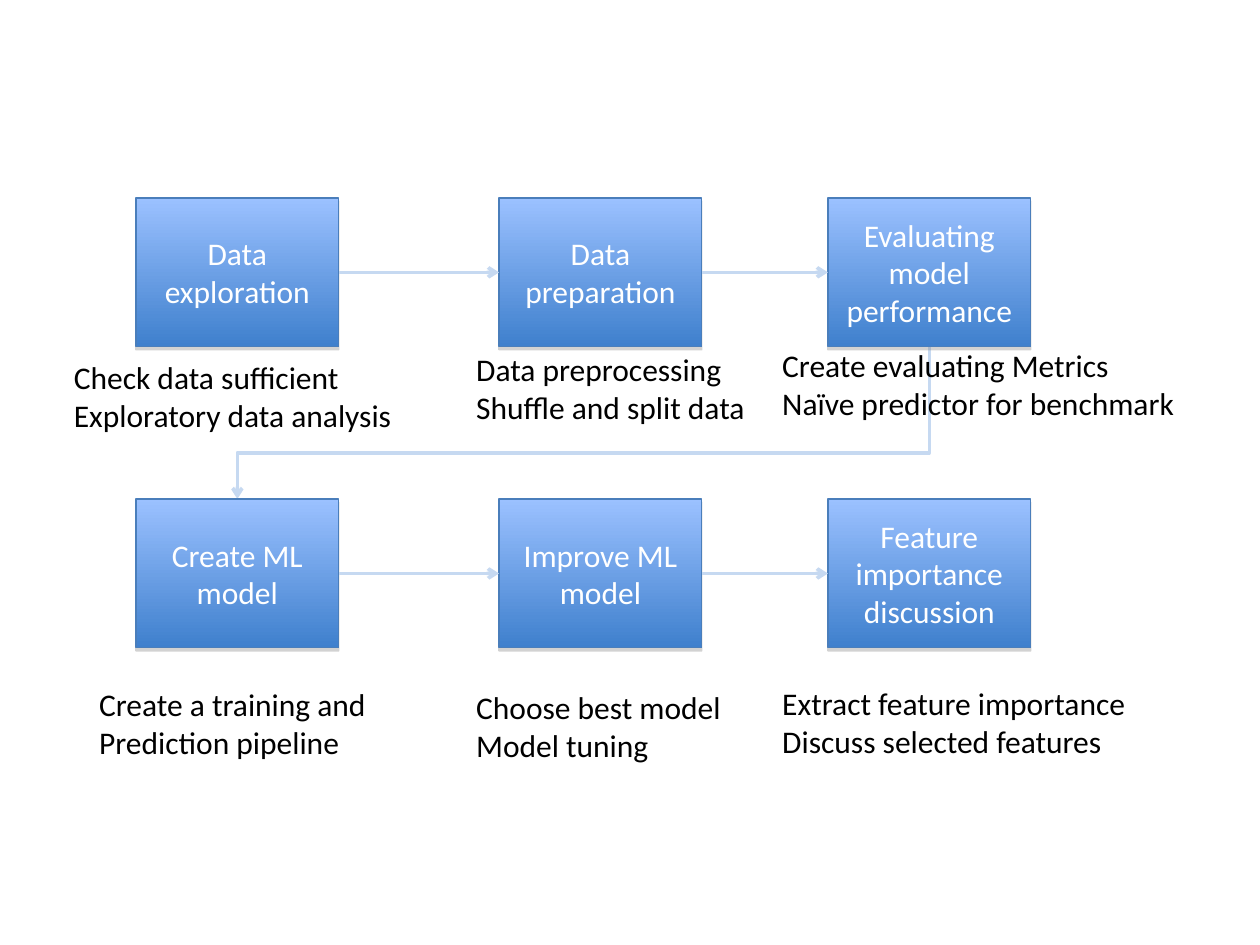
from lxml import etree
from pptx import Presentation
from pptx.dml.color import RGBColor
from pptx.enum import shapes, text
from pptx.oxml import parse_xml
from pptx.oxml.ns import nsdecls, qn
from pptx.util import Cm, Pt

BOX_W, BOX_H = 4.09, 3.0
COLUMNS = (2.74, 10.06, 16.69)
ROWS = (3.99, 10.06)
ARROW = "C6D9F1"

# Per step: box lines, note lines, note offset from the box, note width
STEPS = (
    ((["Data exploration"],
      ["Check data sufficient", "Exploratory data analysis"], (-1.5, 3.1), 7.09),
     (["Data preparation"],
      ["Data preprocessing", "Shuffle and split data"], (-0.71, 2.95), 5.94),
     (["Evaluating", "model performance"],
      ["Create evaluating Metrics", "Naïve predictor for benchmark"], (-1.17, 2.87), 8.43)),
    ((["Create ML", "model"],
      ["Create a training and", "Prediction pipeline"], (-0.99, 3.63), 6.05),
     (["Improve ML model"],
      ["Choose best model", "Model tuning"], (-0.71, 3.68), 5.44),
     (["Feature", "importance", "discussion"],
      ["Extract feature importance", "Discuss selected features"], (-1.17, 3.61), 7.47)),
)


def rgb(value):
    return RGBColor.from_string(value)


def write(tf, lines, color, align, **frame):
    for name, value in frame.items():
        setattr(tf, name, value)
    for i, line in enumerate(lines):
        p = tf.paragraphs[0] if i == 0 else tf.add_paragraph()
        p.alignment = align
        r = p.add_run()
        r.text = line
        for name, value in {"name": "Calibri", "size": Pt(18)}.items():
            setattr(r.font, name, value)
        r.font.color.rgb = rgb(color)


def step_box(s, x, y, lines):
    sp = s.shapes.add_shape(shapes.MSO_SHAPE.RECTANGLE, Cm(x), Cm(y), Cm(BOX_W), Cm(BOX_H))
    sp.fill.gradient()
    sp.fill.gradient_angle = 270
    for stop, color, position in zip(sp.fill.gradient_stops, ("9BC1FF", "3F80CD"), (0, 1)):
        stop.color.rgb = rgb(color)
        stop.position = position
    sp.line.color.rgb = rgb("4A7EBB")
    sp.line.width = Pt(0.75)
    # Thin grey shadow straight below the box
    sp.shadow.inherit = False
    sp._element.spPr.find(qn("a:effectLst")).append(parse_xml(
        f'<a:outerShdw {nsdecls("a")} dist="{Pt(1.8)}" dir="5400000" rotWithShape="0">'
        '<a:srgbClr val="808080"><a:alpha val="35000"/></a:srgbClr></a:outerShdw>'))
    write(sp.text_frame, lines, "FFFFFF", text.PP_ALIGN.CENTER,
          word_wrap=True, vertical_anchor=text.MSO_ANCHOR.MIDDLE)
    return sp


def note(s, x, y, w, lines):
    sp = s.shapes.add_textbox(Cm(x), Cm(y), Cm(w), Cm(1.78))
    write(sp.text_frame, lines, "000000", text.PP_ALIGN.LEFT,
          word_wrap=False, auto_size=text.MSO_AUTO_SIZE.SHAPE_TO_FIT_TEXT)


def arrow(s, kind, x1, y1, x2, y2):
    c = s.shapes.add_connector(kind, Cm(x1), Cm(y1), Cm(x2), Cm(y2))
    c.line.color.rgb = rgb(ARROW)
    c.line.width = Pt(2)
    etree.SubElement(c.line._get_or_add_ln(), qn("a:tailEnd"), type="arrow")
    etree.SubElement(c._element.spPr, qn("a:effectLst"))
    return c


def row_link(s):
    """Elbow from under the last box of row one to the top of the first box of row two."""
    start_y, end_y = ROWS[0] + BOX_H, ROWS[1]
    drop, run = end_y - start_y, COLUMNS[-1] - COLUMNS[0]
    cx = (COLUMNS[0] + COLUMNS[-1] + BOX_W) / 2
    cy = (start_y + end_y) / 2
    # The connector is laid out on its side, then turned a quarter
    c = arrow(s, shapes.MSO_CONNECTOR.ELBOW,
              cx - drop / 2, cy - run / 2, cx + drop / 2, cy + run / 2)
    spPr = c._element.spPr
    spPr.find(qn("a:xfrm")).set("rot", "5400000")
    guides = spPr.find(qn("a:prstGeom")).get_or_add_avLst()
    etree.SubElement(guides, qn("a:gd"), name="adj1", fmla="val 69700")


def step_row(s, y, steps):
    boxes = [step_box(s, x, y, step[0]) for x, step in zip(COLUMNS, steps)]
    # Arrows between neighbouring boxes
    for left, right in zip(boxes, boxes[1:]):
        c = arrow(s, shapes.MSO_CONNECTOR.STRAIGHT, 0, 0, 1, 1)
        c.begin_connect(left, 3)
        c.end_connect(right, 1)
    # Notes under the boxes
    for x, (_, lines, (dx, dy), w) in zip(COLUMNS, steps):
        note(s, x + dx, y + dy, w, lines)


def main():
    prs = Presentation()
    prs.slide_width, prs.slide_height = Cm(25.4), Cm(19.05)
    s = prs.slides.add_slide(prs.slide_layouts[6])
    row_link(s)
    for y, steps in zip(ROWS, STEPS):
        step_row(s, y, steps)
    prs.save("out.pptx")


if __name__ == "__main__":
    main()
